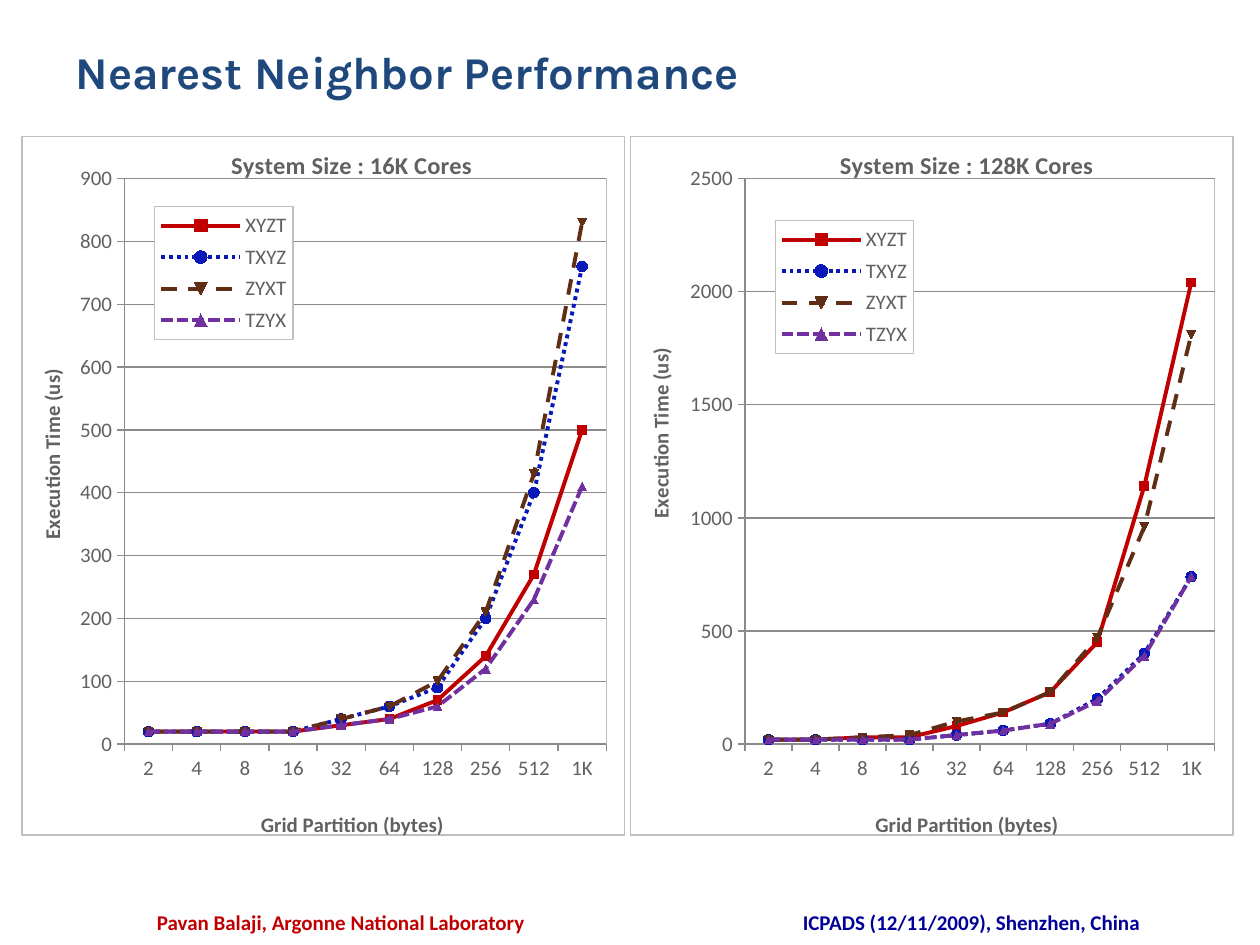
from dataclasses import dataclass

from lxml.etree import SubElement
from pptx import Presentation
from pptx.chart.data import CategoryChartData as Data
from pptx.dml.color import RGBColor as RGB
from pptx.enum.chart import XL_CHART_TYPE as Kind, XL_LEGEND_POSITION as Place
from pptx.enum.chart import XL_MARKER_STYLE as Mark, XL_TICK_MARK as Tick
from pptx.enum.dml import MSO_LINE as Dash
from pptx.enum.text import MSO_ANCHOR as Anchor, PP_ALIGN as Align
from pptx.oxml import parse_xml
from pptx.oxml.ns import nsdecls, qn
from pptx.util import Inches, Pt


@dataclass(frozen=True)
class Theme:
    head: str = "Karla"
    body: str = "Calibri"
    navy: str = "1F497D"
    red: str = "C00000"
    blue: str = "000099"
    text: str = "616161"
    grid: str = "8B8B8B"
    edge: str = "BFBFBF"
    big: int = 26
    mid: int = 14
    small: int = 12
    thin: float = 0.75
    thick: float = 2.25


# name, colour, dash, marker, marker size
STYLES = [
    ("XYZT", "C00000", Dash.SOLID, Mark.AUTOMATIC, 5),
    ("TXYZ", "0819B8", Dash.ROUND_DOT, Mark.CIRCLE, 6),
    ("ZYXT", "602E14", Dash.DASH, Mark.AUTOMATIC, 5),
    ("TZYX", "7030A0", Dash.SQUARE_DOT, Mark.AUTOMATIC, 5),
]
GRIDS = ["2", "4", "8", "16", "32", "64", "128", "256", "512", "1K"]
# Layout boxes are fractions of the chart.
CHARTS = [
    dict(
        title="System Size : 16K Cores", left=0.17, top=900, step=100,
        plot=(0.17, 0.06, 0.8, 0.81), key=(0.22, 0.1, 0.23, 0.19),
        foot=(0.39, 0.96), side=(0.02, 0.33),
        rows=[
            [20, 20, 20, 20, 30, 40, 70, 140, 270, 500],
            [20, 20, 20, 20, 40, 60, 90, 200, 400, 760],
            [20, 20, 20, 20, 40, 60, 100, 210, 430, 830],
            [20, 20, 20, 20, 30, 40, 60, 120, 230, 410],
        ],
    ),
    dict(
        title="System Size : 128K Cores", left=5, top=2500, step=500,
        plot=(0.19, 0.06, 0.78, 0.81), key=(0.24, 0.12, 0.23, 0.19),
        foot=(0.4, 0.96), side=(0.02, 0.3),
        rows=[
            [20, 20, 30, 30, 80, 140, 230, 450, 1140, 2040],
            [20, 20, 20, 20, 40, 60, 90, 200, 400, 740],
            [20, 20, 30, 40, 100, 140, 230, 470, 960, 1810],
            [20, 20, 20, 20, 40, 60, 90, 190, 390, 740],
        ],
    ),
]


def dye(font, face, size, color, bold=True):
    font.name, font.size, font.bold = face, Pt(size), bold
    font.color.rgb = RGB.from_string(color)


def stroke(line, color, width):
    line.color.rgb = RGB.from_string(color)
    line.width = Pt(width)


def place(node, box, inner=False):
    """Give a chart part a manual layout: x, y and, if present, w, h."""
    for old in node.findall(qn("c:layout")):
        node.remove(old)
    layout = parse_xml(f"<c:layout {nsdecls('c')}/>")
    manual = SubElement(layout, qn("c:manualLayout"))
    if inner:
        SubElement(manual, qn("c:layoutTarget"), val="inner")
    for name in "xy":
        SubElement(manual, qn(f"c:{name}Mode"), val="edge")
    for name, value in zip("xywh", box):
        SubElement(manual, qn(f"c:{name}"), val=str(value))
    over = node.find(qn("c:overlay"))
    if over is None:
        node.insert(0, layout)
    else:
        over.addprevious(layout)


def frame(color, width):
    """Return shape properties with a white fill and a thin outline."""
    return parse_xml(
        f"<c:spPr {nsdecls('c', 'a')}>"
        '<a:solidFill><a:srgbClr val="FFFFFF"/></a:solidFill>'
        f'<a:ln w="{Pt(width)}"><a:solidFill><a:srgbClr val="{color}"/>'
        "</a:solidFill></a:ln></c:spPr>"
    )


class Deck:
    def __init__(self, theme):
        self.theme = theme
        self.file = Presentation()
        self.file.slide_width, self.file.slide_height = Inches(10), Inches(7.5)
        self.slide = self.file.slides.add_slide(self.file.slide_layouts[5])

    def title(self, text, box):
        t, shape = self.theme, self.slide.shapes.title
        shape.left, shape.top, shape.width, shape.height = map(Inches, box)
        shape.text_frame.vertical_anchor = Anchor.TOP
        self.fill(shape.text_frame, text, Align.LEFT, t.head, t.big, t.navy)

    def note(self, text, box, color):
        t = self.theme
        shape = self.slide.shapes.add_textbox(*map(Inches, box))
        self.fill(shape.text_frame, text, Align.CENTER, t.body, t.small, color)

    def fill(self, body, text, align, face, size, color):
        body.word_wrap = True
        body.text = text
        para = body.paragraphs[0]
        para.alignment = align
        dye(para.runs[0].font, face, size, color)

    def label(self, title, text, size, box):
        """Fill a chart or axis title and pin it at box."""
        title.text_frame.text = text
        run = title.text_frame.paragraphs[0].runs[0]
        dye(run.font, self.theme.body, size, self.theme.text)
        place(title._element, box)

    def chart(self, item):
        t, data = self.theme, Data()
        data.categories = GRIDS
        for style, row in zip(STYLES, item["rows"]):
            data.add_series(style[0], row)
        box = map(Inches, (item["left"], 1.08, 4.79, 5.62))
        chart = self.slide.shapes.add_chart(Kind.LINE_MARKERS, *box, data).chart
        dye(chart.font, t.body, t.small, t.text, False)
        chart.has_title = True
        self.label(chart.chart_title, item["title"], t.mid, (0.34, 0.01))
        chart.chart_title._element.find(qn("c:overlay")).set("val", "1")

        root = chart._chartSpace
        root.find(qn("c:chart")).addnext(frame(t.edge, t.thin))
        area = root.chart.plotArea
        place(area, item["plot"], inner=True)
        area.append(frame(t.edge, t.thin))
        self.axes(chart, item)
        self.key(chart, item["key"])
        self.lines(chart.plots[0])

    def axes(self, chart, item):
        t, cat, val = self.theme, chart.category_axis, chart.value_axis
        for axis, text, spot in (
            (cat, "Grid Partition (bytes)", item["foot"]),
            (val, "Execution Time (us)", item["side"]),
        ):
            self.label(axis.axis_title, text, t.small, spot)
            axis.major_tick_mark, axis.minor_tick_mark = Tick.OUTSIDE, Tick.NONE
            stroke(axis.format.line, t.grid, t.thin)
        val.minimum_scale, val.maximum_scale = 0, item["top"]
        val.major_unit = item["step"]
        val.has_major_gridlines = True
        stroke(val.major_gridlines.format.line, t.grid, t.thin)

    def key(self, chart, box):
        chart.has_legend = True
        key = chart.legend
        key.position = Place.RIGHT
        key.include_in_layout = True
        place(key._element, box)
        over = key._element.find(qn("c:overlay"))
        over.addnext(frame(self.theme.edge, self.theme.thin))

    def lines(self, plot):
        plot.vary_by_categories = False
        for line, (_, color, dash, mark, size) in zip(plot.series, STYLES):
            line.smooth = False
            stroke(line.format.line, color, self.theme.thick)
            line.format.line.dash_style = dash
            line.marker.style, line.marker.size = mark, size
            fill = line.marker.format.fill
            fill.solid()
            fill.fore_color.rgb = RGB.from_string(color)
            stroke(line.marker.format.line, color, self.theme.thin)


def main():
    theme = Theme()
    deck = Deck(theme)
    deck.note("Pavan Balaji, Argonne National Laboratory",
              (1.08, 7.17, 3.25, 0.25), theme.red)
    deck.title("Nearest Neighbor Performance", (0.5, 0.3, 9, 0.87))
    deck.note("ICPADS (12/11/2009), Shenzhen, China",
              (5.75, 7.17, 3.92, 0.25), theme.blue)
    for item in CHARTS:
        deck.chart(item)
    deck.file.save("out.pptx")


if __name__ == "__main__":
    main()
